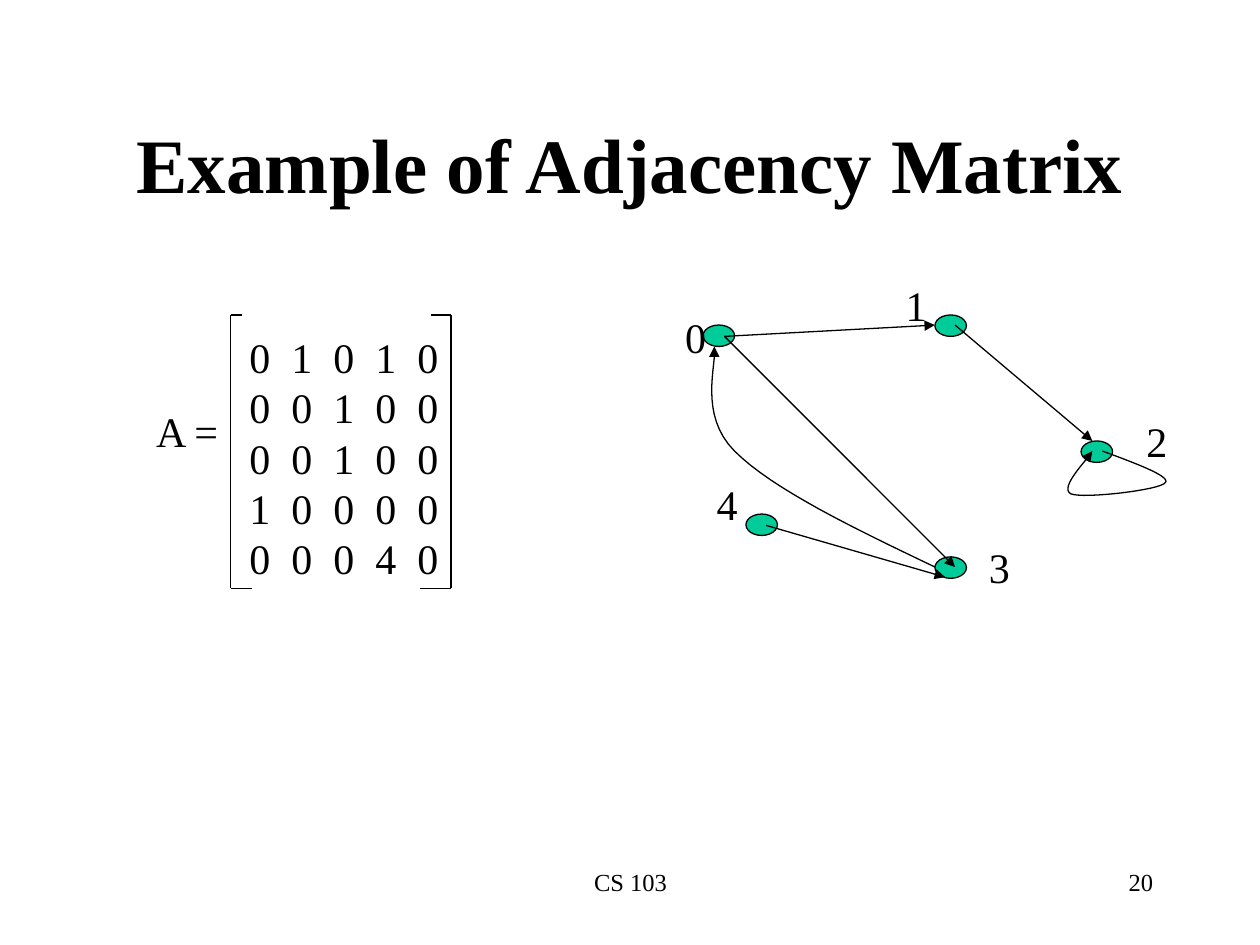
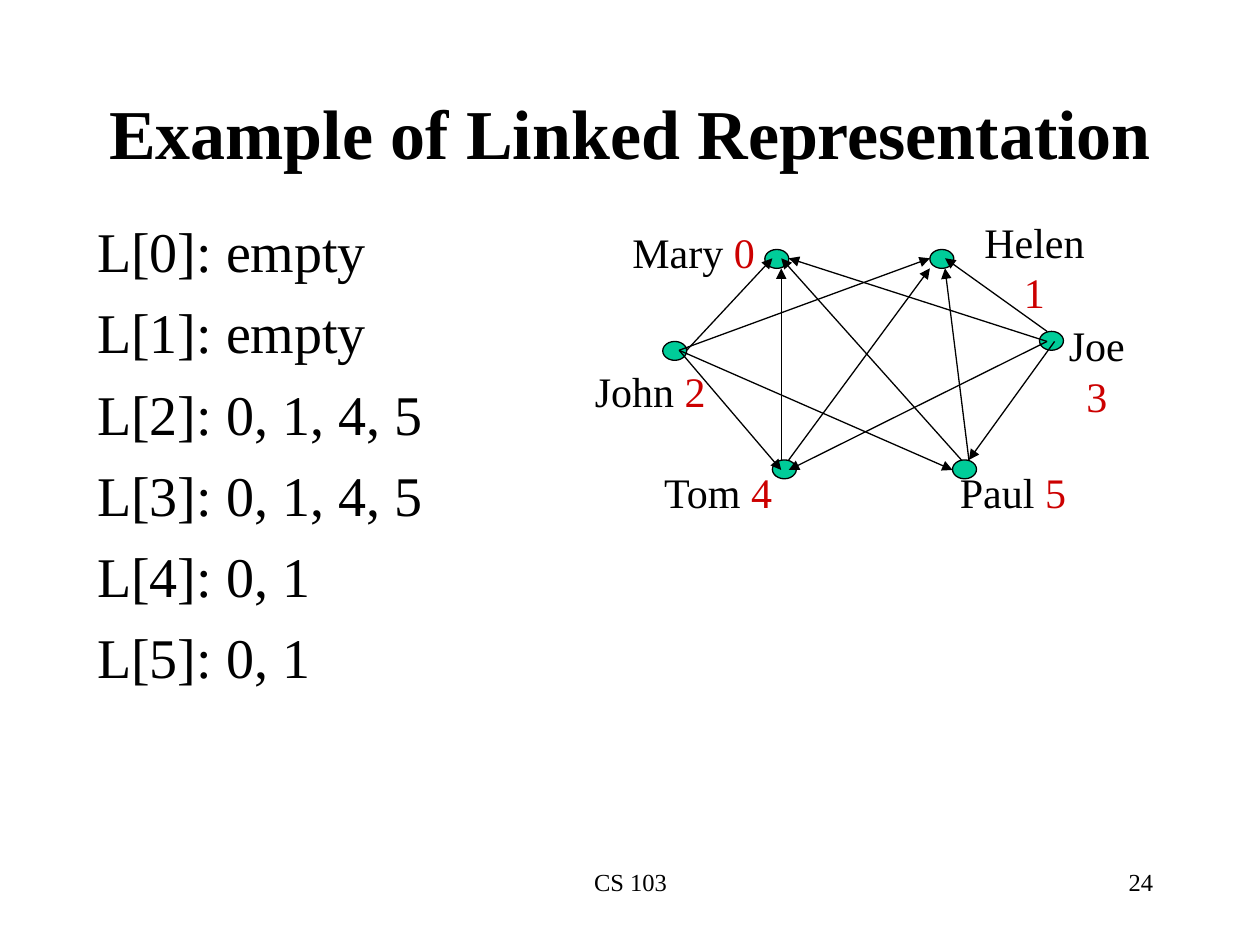
from lxml.etree import SubElement
from pptx import Presentation
from pptx.dml.color import RGBColor
from pptx.enum.shapes import MSO_CONNECTOR, MSO_SHAPE
from pptx.enum.text import MSO_ANCHOR as ANCHOR, MSO_AUTO_SIZE, PP_ALIGN as ALIGN
from pptx.oxml.ns import qn
from pptx.util import Pt

PX = 9144  # 100 px to the inch
FONT = "Times New Roman"
BLACK = RGBColor(0x00, 0x00, 0x00)
WHITE = RGBColor(0xFF, 0xFF, 0xFF)
GREEN = RGBColor(0x00, 0xCC, 0x99)
RED = RGBColor(0xCC, 0x00, 0x00)
LABEL_HEIGHT = 50
CURVE_STEPS = 16


def px(*values):
    return [round(v * PX) for v in values]


def move(sp, box):
    for name, value in zip(("left", "top", "width", "height"), px(*box)):
        setattr(sp, name, value)


def add_run(p, text, size, color=BLACK, bold=False):
    r = p.add_run()
    r.text = text
    for name, value in {"name": FONT, "size": Pt(size), "bold": bold}.items():
        setattr(r.font, name, value)
    r.font.color.rgb = color


def add_text(shapes, box, runs, size, align=ALIGN.LEFT, wrap=False):
    """Text box with one paragraph of (text, color) runs."""
    sp = shapes.add_textbox(*px(*box))
    tf = sp.text_frame
    tf.word_wrap = wrap
    p = tf.paragraphs[0]
    p.alignment = align
    for text, color in runs:
        add_run(p, text, size, color)
    return sp


# Lines and arrows
def style_line(sp, arrow):
    sp.line.color.rgb = BLACK
    sp.line.width = Pt(0.75)
    if arrow:
        SubElement(sp.line._get_or_add_ln(), qn("a:tailEnd"), type="triangle")


def add_line(shapes, x1, y1, x2, y2, arrow=False):
    c = shapes.add_connector(MSO_CONNECTOR.STRAIGHT, *px(x1, y1, x2, y2))
    style_line(c, arrow)
    SubElement(c._element.spPr, qn("a:effectLst"))


def bezier(a, b, c, d, t):
    u = 1 - t
    return [u**3 * i + 3 * u * u * t * j + 3 * u * t * t * k + t**3 * m
            for i, j, k, m in zip(a, b, c, d)]


def add_curve(shapes, points):
    """Curved arrow through chained cubic segments."""
    path_points = [px(*bezier(*points[i:i + 4], n / CURVE_STEPS))
                   for i in range(0, len(points) - 1, 3)
                   for n in range(1, CURVE_STEPS + 1)]
    builder = shapes.build_freeform(*px(*points[0]))
    builder.add_line_segments(path_points, close=False)
    sp = builder.convert_to_shape()
    sp.fill.background()
    sp.shadow.inherit = False
    style_line(sp, True)


# Shared slide frame
def add_slide(prs, layout, title, title_box, title_size, number):
    s = prs.slides.add_slide(prs.slide_layouts[layout])
    s.background.fill.solid()
    s.background.fill.fore_color.rgb = WHITE
    move(s.shapes.title, title_box)
    tf = s.shapes.title.text_frame
    tf.auto_size = MSO_AUTO_SIZE.NONE
    tf.vertical_anchor = ANCHOR.MIDDLE
    tf.paragraphs[0].alignment = ALIGN.CENTER
    add_run(tf.paragraphs[0], title, title_size, bold=True)
    for box, text, align in (((342, 683, 317, 50), "CS 103", ALIGN.CENTER),
                             ((717, 683, 208, 50), number, ALIGN.RIGHT)):
        add_text(s.shapes, box, [(text, BLACK)], 14, align, wrap=True)
    return s


# Graph drawing, placed relative to its origin
def add_graph(s, origin, node_size, nodes, labels, edges, curves=()):
    ox, oy = origin
    for x, y in nodes:
        sp = s.shapes.add_shape(MSO_SHAPE.OVAL, *px(ox + x, oy + y, *node_size))
        sp.fill.solid()
        sp.fill.fore_color.rgb = GREEN
        sp.shadow.inherit = False
        style_line(sp, False)
    for x, y, width, name, number, number_color in labels:
        wrap = name == "Joe "
        height = 90 if wrap else LABEL_HEIGHT
        runs = [(name, BLACK)] if name else []
        add_text(s.shapes, (ox + x, oy + y, width, height),
                 runs + [(number, number_color)], 24, ALIGN.CENTER, wrap)
    for x1, y1, x2, y2 in edges:
        add_line(s.shapes, ox + x1, oy + y1, ox + x2, oy + y2, arrow=True)
    for points in curves:
        add_curve(s.shapes, [(ox + x, oy + y) for x, y in points])


# Bracketed matrix, placed relative to its box
def add_matrix(s, box, name, rows):
    x, y, w, h = box
    shapes = s.shapes.add_group_shape().shapes
    sp = shapes.add_textbox(*px(x - 45, y + 8, 270, 210))
    tf = sp.text_frame
    tf.word_wrap = True
    tf.margin_left = 60 * PX
    for i, row in enumerate(rows):
        p = tf.paragraphs[0] if i == 0 else tf.add_paragraph()
        p.alignment = ALIGN.LEFT
        tabs = SubElement(p._p.get_or_add_pPr(), qn("a:tabLst"))
        for column in range(1, len(row)):
            SubElement(tabs, qn("a:tab"), pos=str(round(column * PX * 100 / 3)), algn="l")
        add_run(p, "\t".join(row), 24)
    # Brackets: side, then top and bottom ticks
    for side, top_tick, bottom_tick in ((x, 9, 17), (x + w, -16, -25)):
        add_line(shapes, side, y, side, y + h)
        add_line(shapes, side + top_tick, y, side, y)
        add_line(shapes, side, y + h, side + bottom_tick, y + h)
    add_text(shapes, (x - 70, y + 67, 71, LABEL_HEIGHT), [(name, BLACK)], 24, ALIGN.CENTER)


def add_list(s, box, lines):
    body = s.placeholders[1]
    move(body, box)
    tf = body.text_frame
    tf.auto_size = MSO_AUTO_SIZE.NONE
    for i, line in enumerate(lines):
        p = tf.paragraphs[0] if i == 0 else tf.add_paragraph()
        p.space_before = Pt(8)
        pPr = p._p.get_or_add_pPr()
        pPr.set("marL", str(38 * PX))
        pPr.set("indent", str(-38 * PX))
        SubElement(pPr, qn("a:buNone"))
        add_run(p, line, 32)


def matrix_slide(prs):
    s = add_slide(prs, 5, "Example of Adjacency Matrix", (75, 67, 850, 125), 44, "20")
    add_graph(
        s, (500, 200), (25, 17),
        nodes=[(58, 58), (92, 208), (242, 242), (358, 150), (242, 50)],
        labels=[(x, y, 36, "", number, BLACK) for x, y, number in (
            (34, 42, "0"), (209, 17, "1"), (59, 175, "4"),
            (400, 125, "2"), (275, 225, "3"))],
        edges=[(75, 67, 242, 58), (258, 58, 367, 150),
               (75, 67, 258, 250), (108, 217, 250, 258)],
        curves=[[(375, 158), (402, 168), (429, 178), (425, 183), (421, 189),
                 (360, 196), (350, 192), (340, 187), (364, 164), (367, 158)],
                [(242, 250), (177, 219), (113, 188), (83, 158),
                 (54, 129), (69, 89), (67, 75)]])
    add_matrix(s, (183, 250, 175, 217), "A =",
               ["01010", "00100", "00100", "10000", "00040"])


def linked_slide(prs):
    s = add_slide(prs, 1, "Example of Linked Representation", (75, 67, 850, 75), 40, "24")
    add_list(s, (67, 167, 850, 500),
             ["L[0]: empty", "L[1]: empty", "L[2]: 0, 1, 4, 5",
              "L[3]: 0, 1, 4, 5", "L[4]: 0, 1", "L[5]: 0, 1"])
    add_graph(
        s, (450, 160), (19, 15),
        nodes=[(76, 111), (157, 38), (163, 205), (306, 205), (375, 103), (288, 38)],
        labels=[(x, y, width, name + " ", number, RED) for x, y, width, name, number in (
            (12, 125, 108, "John", "2"), (387, 89, 67, "Joe", "3"),
            (42, 15, 117, "Mary", "0"), (309, 7, 124, "Helen", "1"),
            (66, 205, 108, "Tom", "4"), (302, 205, 104, "Paul", "5"))],
        edges=[(95, 118, 163, 45), (89, 118, 288, 45), (381, 103, 300, 45),
               (381, 111, 176, 45), (89, 118, 170, 213), (89, 118, 306, 213),
               (381, 111, 176, 213), (387, 111, 319, 205), (170, 205, 170, 53),
               (319, 205, 300, 53), (176, 205, 288, 53), (313, 205, 170, 45)])


def main():
    prs = Presentation()
    prs.slide_width, prs.slide_height = px(1000, 750)
    matrix_slide(prs)
    linked_slide(prs)
    prs.save("out.pptx")


if __name__ == "__main__":
    main()
